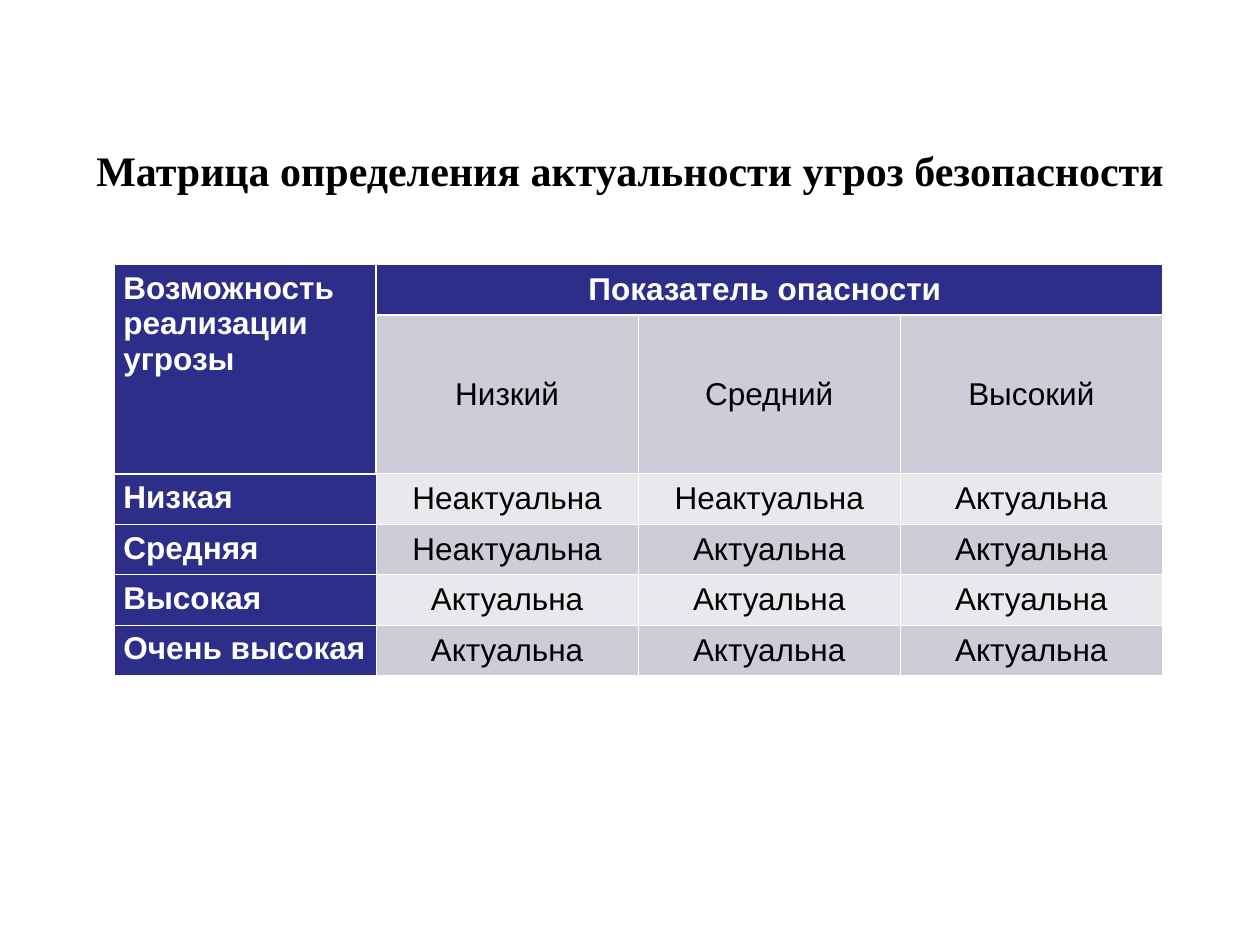
from lxml import etree
from pptx import Presentation
from pptx.dml.color import RGBColor
from pptx.enum import text as t
from pptx.oxml import ns
from pptx.util import Pt

TITLE = "Матрица определения актуальности угроз безопасности"
YES, NO = "Актуальна", "Неактуальна"
ROWS = [
    ("Возможность реализации угрозы", "Показатель опасности ", "", ""),
    ("", "Низкий", "Средний", "Высокий"),
    ("Низкая", NO, NO, YES),
    ("Средняя", NO, YES, YES),
    ("Высокая", YES, YES, YES),
    ("Очень высокая", YES, YES, YES),
]

BLACK = RGBColor(0, 0, 0)
WHITE = RGBColor(0xFF, 0xFF, 0xFF)
NAVY = RGBColor(0x2D, 0x2D, 0x8A)
DARK = RGBColor(0xCD, 0xCD, 0xDA)
LIGHT = RGBColor(0xE8, 0xE8, 0xED)

LEFT, TOP = 65.1, 151.2
COL, ROW, TALL = 149.8, 27.3, 90.7
THIN, THICK = 0.45, 1.47


def write(frame, words, font, size, color, bold, align):
    par = frame.paragraphs[0]
    par.alignment = align
    run = par.add_run()
    run.text = words
    run.font.name = font
    run.font.size = Pt(size)
    run.font.bold = bold
    run.font.color.rgb = color


def edge(cell, widths):
    """Put white borders on a cell; widths are left, right, top, bottom."""
    props = cell._tc.get_or_add_tcPr()
    for i, (side, width) in enumerate(zip("LRTB", widths)):
        line = etree.Element(ns.qn(f"a:ln{side}"), w=str(int(Pt(width))))
        fill = etree.SubElement(line, ns.qn("a:solidFill"))
        etree.SubElement(fill, ns.qn("a:srgbClr"), val=str(WHITE))
        props.insert(i, line)


def style(cell, r, c):
    head = r == 0 or c == 0
    cell.fill.solid()
    cell.fill.fore_color.rgb = NAVY if head else DARK if r % 2 else LIGHT
    cell.margin_left = cell.margin_right = Pt(5.4)
    cell.margin_top = cell.margin_bottom = Pt(3.6)
    cell.vertical_anchor = t.MSO_ANCHOR.TOP if c == 0 else t.MSO_ANCHOR.MIDDLE
    corner = c == 0 and r < 2
    edge(cell, (
        THICK if c == 1 and r < 2 else THIN,
        THICK if corner else THIN,
        THICK if (r == 1 and c) or (r == 2 and c == 0) else THIN,
        THICK if corner or r == 0 else THIN,
    ))
    return head


def main():
    deck = Presentation()
    deck.slide_width, deck.slide_height = Pt(720), Pt(540)
    slide = deck.slides.add_slide(deck.slide_layouts[6])

    title = slide.shapes.add_textbox(Pt(36), Pt(54.7), Pt(648), Pt(84.2)).text_frame
    title.word_wrap = True
    title.vertical_anchor = t.MSO_ANCHOR.MIDDLE
    write(title, TITLE, "Times New Roman", 24, BLACK, True, t.PP_ALIGN.CENTER)

    highs = [TALL if r == 1 else ROW for r in range(len(ROWS))]
    wide = len(ROWS[0])
    grid = slide.shapes.add_table(len(ROWS), wide, Pt(LEFT), Pt(TOP),
                                  Pt(COL * wide), Pt(sum(highs))).table
    for col in grid.columns:
        col.width = Pt(COL)
    for row, high in zip(grid.rows, highs):
        row.height = Pt(high)
    grid.cell(0, 0).merge(grid.cell(1, 0))
    grid.cell(0, 1).merge(grid.cell(0, 3))

    for r, row in enumerate(ROWS):
        for c, words in enumerate(row):
            cell = grid.cell(r, c)
            head = style(cell, r, c)
            if words:
                align = t.PP_ALIGN.CENTER if c else t.PP_ALIGN.LEFT
                write(cell.text_frame, words, "Arial", 18,
                      WHITE if head else BLACK, head, align)

    deck.save("out.pptx")


if __name__ == "__main__":
    main()
